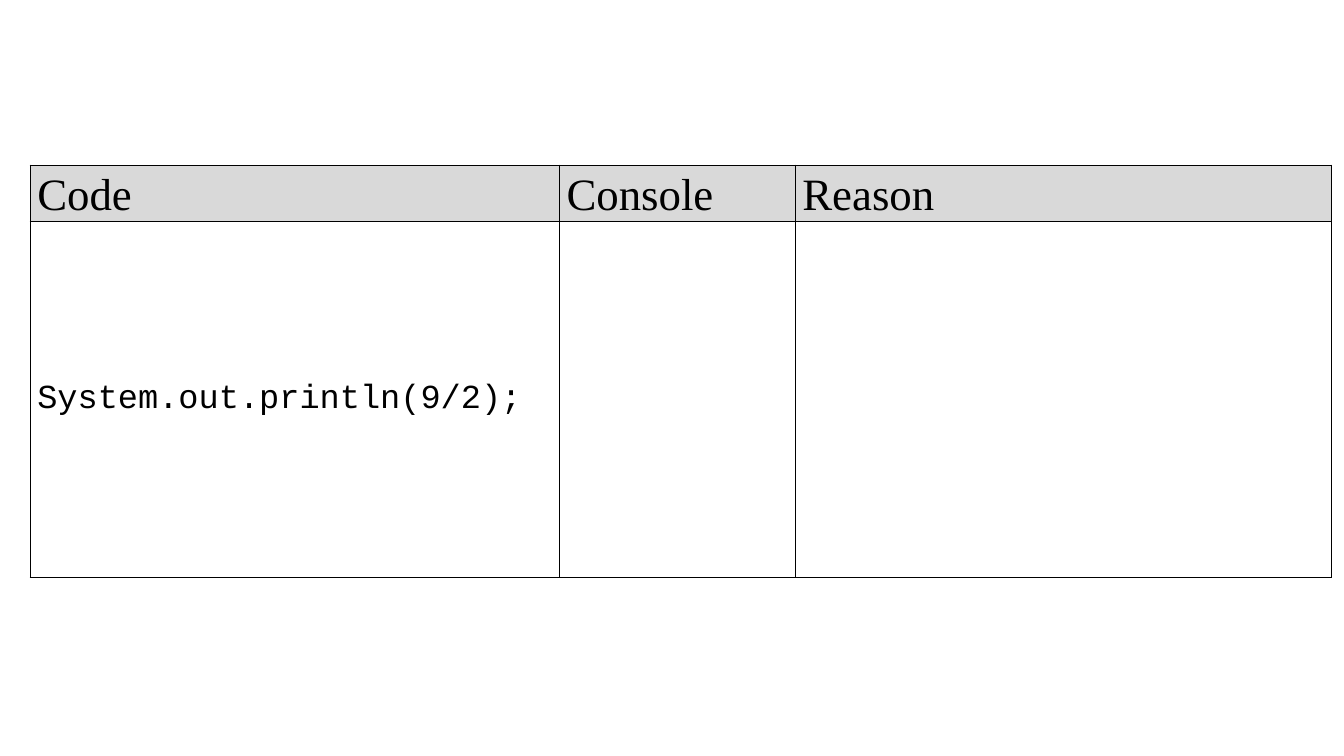
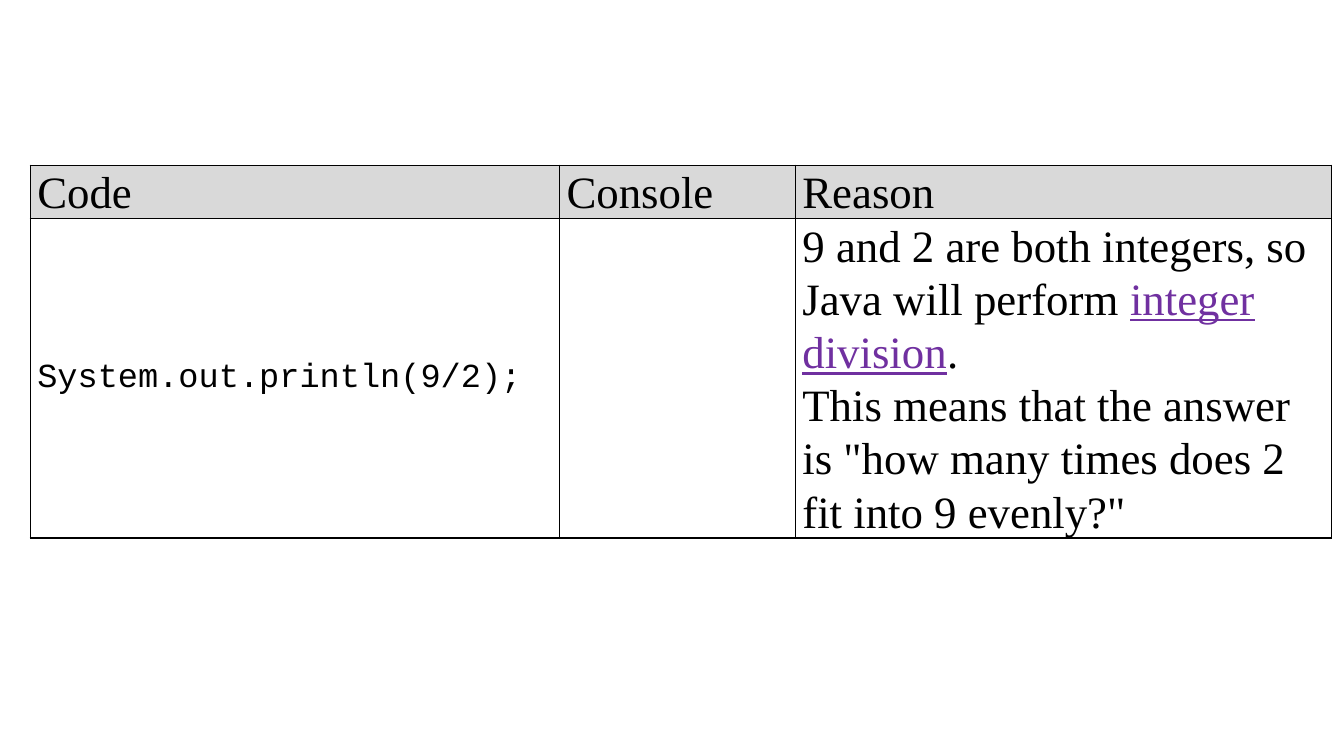
import pptx
import pptx.dml.color
import pptx.enum.text
import pptx.oxml
import pptx.oxml.ns
import pptx.util

BLACK = pptx.dml.color.RGBColor(0x00, 0x00, 0x00)
GREY = pptx.dml.color.RGBColor(0xD9, 0xD9, 0xD9)
PURPLE = pptx.dml.color.RGBColor(0x70, 0x30, 0xA0)

HEADERS = ("Code", "Console", "Reason")
CODE = "System.out.println(9/2);"
# A cell is a list of paragraphs; a paragraph is a list of (text, is_term) runs.
REASON = [
    [("9 and 2 are both integers, so Java will perform ", False),
     ("integer division", True), (".", False)],
    [('This means that the answer is "how many times does 2 fit into 9 evenly?"', False)],
]


class Deck:
    """Style and current slide; lengths are in hundredths of the slide's size."""

    TEXT = ("Times New Roman", 32, 1.07)
    MONO = ("Courier New", 24, None)
    LEFT, TOP = 2.25, 21.87
    COLUMNS = (39.38, 17.55, 39.91)

    def __init__(self):
        self.prs = pptx.Presentation()
        self.prs.slide_width = pptx.util.Inches(13.33)
        self.prs.slide_height = pptx.util.Inches(7.5)
        self.s = None

    def x(self, columns):
        return round(self.prs.slide_width * columns / 100)

    def y(self, rows):
        return round(self.prs.slide_height * rows / 100)

    def slide(self):
        self.s = self.prs.slides.add_slide(self.prs.slide_layouts[6])

    def borders(self, cell):
        tc_pr = cell._tc.get_or_add_tcPr()
        for i, side in enumerate("LRTB"):
            tc_pr.insert(i, pptx.oxml.parse_xml(
                f'<a:ln{side} {pptx.oxml.ns.nsdecls("a")} w="{pptx.util.Pt(1)}">'
                f'<a:solidFill><a:srgbClr val="{BLACK}"/></a:solidFill></a:ln{side}>'))

    def cell(self, cell, paragraphs, style, fill=None):
        # Box: fill, borders, margins
        if fill is None:
            cell.fill.background()
        else:
            cell.fill.solid()
            cell.fill.fore_color.rgb = fill
        self.borders(cell)
        cell.vertical_anchor = pptx.enum.text.MSO_ANCHOR.MIDDLE
        cell.margin_left = cell.margin_right = pptx.util.Inches(0.07)
        cell.margin_top = cell.margin_bottom = 0

        # Text
        name, size, spacing = style
        tf = cell.text_frame
        for i, runs in enumerate(paragraphs):
            p = tf.add_paragraph() if i else tf.paragraphs[0]
            p.line_spacing = spacing
            for text, is_term in runs:
                r = p.add_run()
                r.text = text
                r.font.name = name
                r.font.size = pptx.util.Pt(size)
                r.font.color.rgb = PURPLE if is_term else BLACK
                r.font.underline = is_term

    def table(self, rows, reason):
        frame = self.s.shapes.add_table(
            len(rows), len(self.COLUMNS), self.x(self.LEFT), self.y(self.TOP),
            self.x(sum(self.COLUMNS)), self.y(sum(rows)))
        table = frame.table
        table.first_row = table.horz_banding = False
        for column, width in zip(table.columns, self.COLUMNS):
            column.width = self.x(width)
        for row, height in zip(table.rows, rows):
            row.height = self.y(height)

        # Header row
        for i, header in enumerate(HEADERS):
            self.cell(table.cell(0, i), [[(header, False)]], self.TEXT, GREY)

        # Exercise row
        self.cell(table.cell(1, 0), [[(CODE, False)]], self.MONO)
        self.cell(table.cell(1, 1), [], self.TEXT)
        self.cell(table.cell(1, 2), reason, self.TEXT)


def main():
    deck = Deck()

    # Question
    deck.slide()
    deck.table((7.47, 47.07), [])

    # Explanation: the rows grow with their text
    deck.slide()
    deck.table((6, 16.8), REASON)

    deck.prs.save("out.pptx")


if __name__ == "__main__":
    main()
